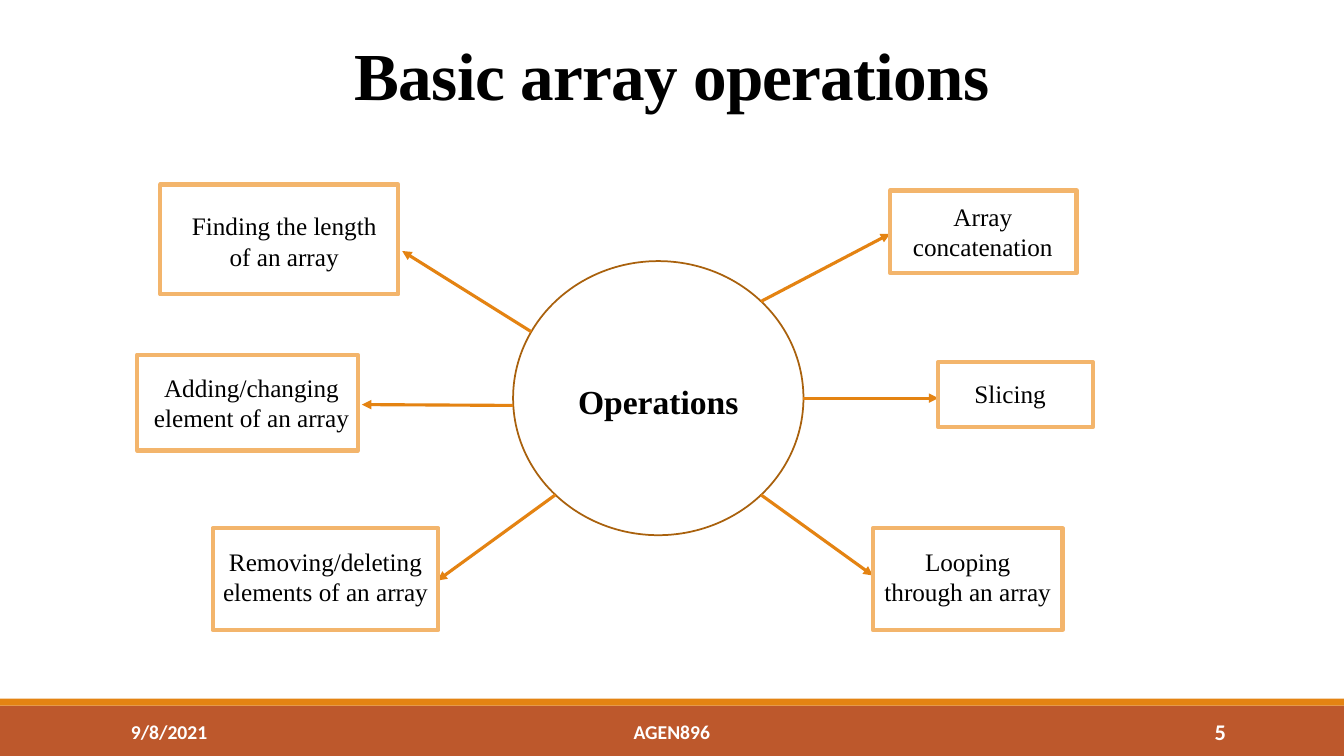
import pptx
import pptx.dml.color
import pptx.enum.shapes
import pptx.enum.text
import pptx.oxml.ns
import pptx.util
from lxml import etree

Pt = pptx.util.Pt
SHAPE = pptx.enum.shapes.MSO_SHAPE
ALIGN = pptx.enum.text.PP_ALIGN
ANCHOR = pptx.enum.text.MSO_ANCHOR
SERIF, SANS = "Times New Roman", "Calibri"
BLACK, WHITE = "000000", "FFFFFF"
ORANGE, RUST, BROWN, PEACH = "E48312", "BD582C", "A9610D", "F3B56C"


def rgb(value):
    """Turn a hex string into a colour."""
    return pptx.dml.color.RGBColor.from_string(value)


def lengths(values):
    """Turn numbers of points into lengths."""
    return [Pt(v) for v in values]


class Deck:
    """Holds the presentation, its current slide and the label style."""

    def __init__(self, width, height):
        """Start a deck with one blank slide."""
        self.prs = pptx.Presentation()
        self.prs.slide_width, self.prs.slide_height = Pt(width), Pt(height)
        self.s = self.prs.slides.add_slide(self.prs.slide_layouts[6])
        self.font, self.size, self.color = SERIF, 18, BLACK

    def shape(self, kind, box, fill=None, line=None, weight=1):
        """Add a preset shape with an optional fill and outline."""
        sp = self.s.shapes.add_shape(kind, *lengths(box))
        sp.shadow.inherit = False
        if fill:
            sp.fill.solid()
            sp.fill.fore_color.rgb = rgb(fill)
        else:
            sp.fill.background()
        if line:
            sp.line.color.rgb = rgb(line)
            sp.line.width = Pt(weight)
        else:
            sp.line.fill.background()

    def text(self, text, box, size=None, font=None, color=None, bold=False,
             align=ALIGN.CENTER, anchor=ANCHOR.TOP, line_spacing=None, tracking=0):
        """Add a wrapping text box with one styled paragraph."""
        tf = self.s.shapes.add_textbox(*lengths(box)).text_frame
        tf.word_wrap = True
        tf.vertical_anchor = anchor
        tf.text = text
        p = tf.paragraphs[0]
        p.alignment = align
        p.line_spacing = line_spacing
        r = p.runs[0]
        r.font.name, r.font.size = font or self.font, Pt(size or self.size)
        r.font.bold = bold
        r.font.color.rgb = rgb(color or self.color)
        if tracking:
            r.font._element.set("spc", str(round(tracking * 100)))

    def arrow(self, start, end):
        """Add a straight arrow pointing at end."""
        straight = pptx.enum.shapes.MSO_CONNECTOR.STRAIGHT
        c = self.s.shapes.add_connector(straight, *lengths(start + end))
        c.line.color.rgb = rgb(ORANGE)
        c.line.width = Pt(2.25)
        qn = pptx.oxml.ns.qn
        etree.SubElement(c.line._get_or_add_ln(), qn("a:tailEnd"), type="triangle")
        etree.SubElement(c._element.spPr, qn("a:effectLst"))


# label, outline box, text box, arrow start, arrow end
OPERATIONS = [
    ("Finding the length of an array", (114.5, 131.8, 170, 78.5),
     (123.1, 146.9, 159.8, 51), (379.4, 236.9), (287.3, 179.3)),
    ("Adding/changing element of an array", (97.9, 253.4, 157.7, 68.4),
     (100.8, 262.1, 157.7, 51), (366.5, 289.6), (258.5, 289)),
    ("Removing/deleting elements of an array", (151.9, 377.3, 161.3, 72.7),
     (151.9, 386.6, 161.3, 51), (396.7, 353.5), (312.5, 414.7)),
    ("Array concatenation", (635.8, 136.1, 133.2, 59),
     (634.3, 140.4, 135.4, 51), (543.6, 215.3), (635.8, 167)),
    ("Slicing", (670.3, 258.5, 110.2, 46.8),
     (653.8, 266.4, 135.4, 29), (573.8, 284.4), (670.3, 284.4)),
    ("Looping through an array", (623.5, 377.3, 135.4, 72.7),
     (623.5, 386.6, 135.4, 51), (543.6, 353.5), (623.5, 411.1)),
]

# text, left, width, size, alignment
FOOTER = [
    ("9/8/2021", 86.4, 194.4, 14, ALIGN.LEFT),
    ("AGEN896", 290.2, 379.4, 14, ALIGN.CENTER),
    ("5", 779.8, 103, 16, ALIGN.RIGHT),
]

deck = Deck(960, 540)
deck.shape(SHAPE.RECTANGLE, (0, 504, 960, 36), fill=RUST)
deck.shape(SHAPE.RECTANGLE, (0, 499, 960, 5), fill=ORANGE)
deck.text("Basic array operations", (84, 16.6, 792, 68.4), size=48, bold=True,
          anchor=ANCHOR.BOTTOM, line_spacing=0.85, tracking=-0.5)
for label, left, width, size, align in FOOTER:
    deck.text(label, (left, 508.3, width, 28.8), size, SANS, WHITE, True,
              align, ANCHOR.MIDDLE)

deck.shape(SHAPE.OVAL, (366.5, 186.5, 207.4, 195.8), line=BROWN, weight=1.25)
deck.text("Operations", (402.5, 268.6, 135.4, 36), size=24, bold=True)
for label, outline, area, start, end in OPERATIONS:
    deck.arrow(start, end)
    deck.shape(SHAPE.RECTANGLE, outline, line=PEACH, weight=3)
    deck.text(label, area)

deck.prs.save("out.pptx")
